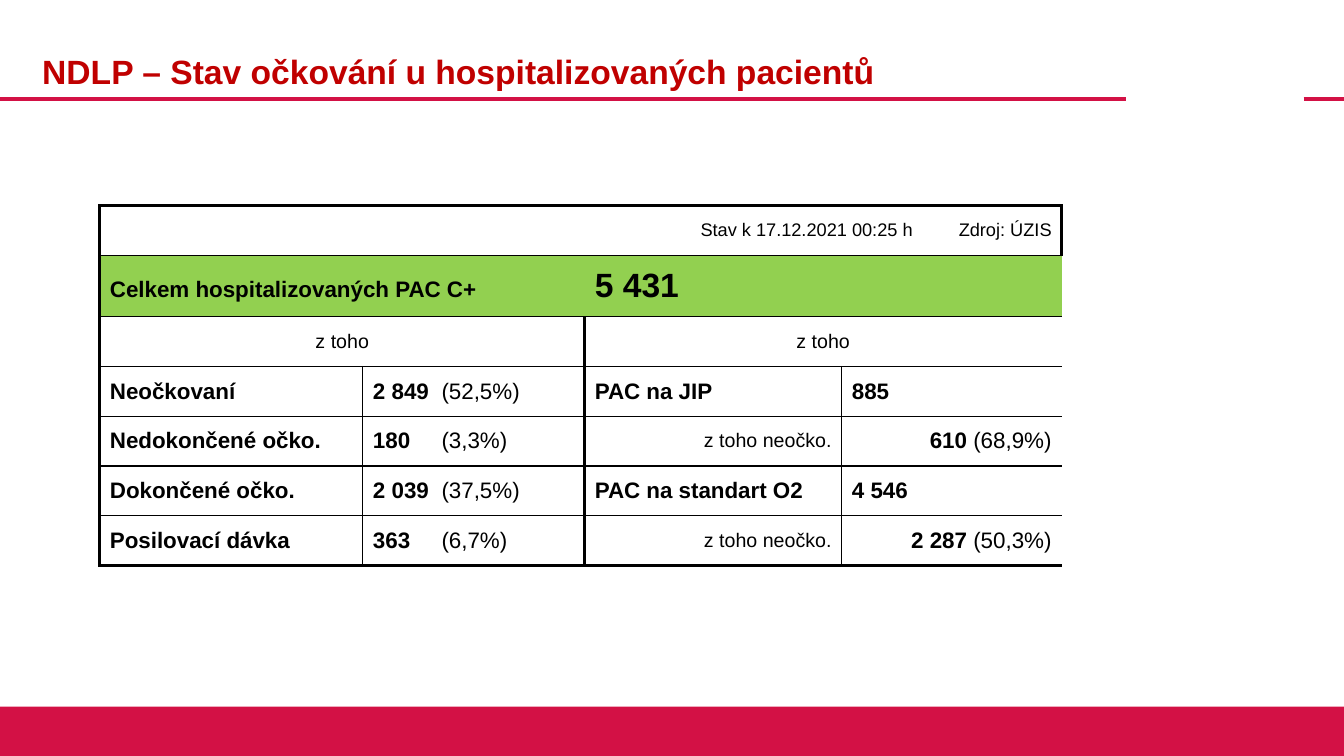
from lxml.etree import SubElement
from pptx import Presentation
from pptx.dml.color import RGBColor
from pptx.enum.shapes import MSO_CONNECTOR as CONN, MSO_SHAPE as SHAPE
from pptx.enum.text import MSO_ANCHOR as ANCHOR, PP_ALIGN as ALIGN
from pptx.oxml.ns import qn
from pptx.util import Inches, Pt

RED, TITLE_RED, GREEN = "D31145", "C00000", "92D050"
BLACK, WHITE = "000000", "FFFFFF"
FONT = "Arial"
THIN, THICK = 1, 2.25
NO_STYLE = "{2D5ABB26-0587-4C30-8999-92F81FD0307C}"
COLS = [2.37, 0.16, 2.2, 2.55, 0.8, 1.38]
TOTAL_ROW_H = 0.61
TOTAL_TAB, SHARE_TAB = 4.81, 0.68

# Rows from the fourth on: group, count, share | care type, count, share
PATIENTS = [
    ("Neočkovaní", "2 849", "(52,5%)", "PAC na JIP", "885", None),
    ("Nedokončené očko.", "180", "(3,3%)", "z toho neočko.", "610", "(68,9%)"),
    ("Dokončené očko.", "2 039", "(37,5%)", "PAC na standart O2", "4 546", None),
    ("Posilovací dávka", "363", "(6,7%)", "z toho neočko.", "2 287", "(50,3%)"),
]


def rgb(hex_color):
    return RGBColor.from_string(hex_color)


def add_rule(slide, x1, x2, y):
    line = slide.shapes.add_connector(CONN.STRAIGHT, Inches(x1), Inches(y), Inches(x2), Inches(y))
    line.line.color.rgb = rgb(RED)
    line.line.width = Pt(3)
    SubElement(line._element.spPr, qn("a:effectLst"))


def add_frame(slide, width, height):
    """Draw the header rules and the footer band."""
    add_rule(slide, 0, 11.17, 0.98)
    add_rule(slide, 12.93, width, 0.98)
    band_h = 0.49
    band = slide.shapes.add_shape(SHAPE.RECTANGLE, 0, Inches(height - band_h),
                                  Inches(width), Inches(band_h))
    band.shadow.inherit = False
    band.fill.solid()
    band.fill.fore_color.rgb = rgb(RED)
    band.line.fill.background()


def add_title(slide, text, x, y, w, h):
    tf = slide.shapes.add_textbox(Inches(x), Inches(y), Inches(w), Inches(h)).text_frame
    tf.word_wrap = True
    tf.vertical_anchor = ANCHOR.MIDDLE
    p = tf.paragraphs[0]
    p.text = text
    p.line_spacing = 0.9
    p.font.name, p.font.size, p.font.bold = FONT, Pt(24), True
    p.font.color.rgb = rgb(TITLE_RED)


def set_borders(cell, widths):
    """Set cell borders from a dict of side (L, R, T, B) to points."""
    tc_pr = cell._tc.get_or_add_tcPr()
    for side, width in widths.items():
        ln = SubElement(tc_pr, qn(f"a:ln{side}"), w=str(Pt(width)))
        SubElement(SubElement(ln, qn("a:solidFill")), qn("a:srgbClr"), val=BLACK)


def write_cell(cell, runs, align, tab):
    """Write runs of (text, size, bold), with an optional tab stop in inches."""
    cell.vertical_anchor = ANCHOR.MIDDLE
    p = cell.text_frame.paragraphs[0]
    p.alignment = align
    if tab:
        tabs = SubElement(p._p.get_or_add_pPr(), qn("a:tabLst"))
        SubElement(tabs, qn("a:tab"), pos=str(Inches(tab)), algn="l")
    for text, size, bold in runs:
        r = p.add_run()
        r.text = text
        r.font.name, r.font.size, r.font.bold = FONT, Pt(size), bold
        r.font.color.rgb = rgb(BLACK)


def fill_span(table, row, first, last, runs=(), align=ALIGN.LEFT, tab=None, fill=WHITE):
    """Merge columns first to last of a row, then style and write the cell."""
    last_row, last_col = len(table.rows) - 1, len(table.columns) - 1
    for col in range(first, last + 1):
        widths = {}
        if col == first and (row > 0 or col == 0):
            widths["L"] = THICK if col in (0, 3) else THIN
        if col == last and (row > 0 or col == last_col):
            widths["R"] = THICK if col in (2, last_col) else THIN
        widths["T"] = THICK if row == 0 else THIN
        widths["B"] = THICK if row == last_row else THIN
        cell = table.cell(row, col)
        set_borders(cell, widths)
        cell.fill.solid()
        cell.fill.fore_color.rgb = rgb(fill)
    cell = table.cell(row, first)
    if last > first:
        cell.merge(table.cell(row, last))
    write_cell(cell, runs, align, tab)


def add_patient_table(slide, x, y, w, h):
    n_rows = len(PATIENTS) + 3
    frame = slide.shapes.add_table(n_rows, len(COLS), Inches(x), Inches(y), Inches(w), Inches(h))
    table = frame.table
    table._tbl.tblPr.find(qn("a:tableStyleId")).text = NO_STYLE
    table.first_row = table.horz_banding = False
    for column, width in zip(table.columns, COLS):
        column.width = Inches(width)
    for i, row in enumerate(table.rows):
        row.height = Inches(TOTAL_ROW_H if i == 1 else (h - TOTAL_ROW_H) / (n_rows - 1))

    fill_span(table, 0, 0, 0)
    fill_span(table, 0, 1, 2)
    fill_span(table, 0, 3, 4, [("Stav k 17.12.2021 00:25 h", 13, False)], ALIGN.RIGHT)
    fill_span(table, 0, 5, 5, [("Zdroj: ÚZIS", 13, False)], ALIGN.RIGHT)
    total = [("Celkem hospitalizovaných PAC C+\t", 16, True), ("5 431", 24, True)]
    fill_span(table, 1, 0, 5, total, tab=TOTAL_TAB, fill=GREEN)
    for first in (0, 3):
        fill_span(table, 2, first, first + 2, [("z toho", 14, False)], ALIGN.CENTER)

    for row, (group, count, share, care, care_count, care_share) in enumerate(PATIENTS, 3):
        fill_span(table, row, 0, 1, [(group, 16, True)])
        fill_span(table, row, 2, 2, [(f"{count}\t", 16, True), (share, 16, False)], tab=SHARE_TAB)
        if care_share:
            fill_span(table, row, 3, 3, [(care, 14, False)], ALIGN.RIGHT)
            fill_span(table, row, 4, 5, [(f"{care_count} ", 16, True), (care_share, 16, False)],
                      ALIGN.RIGHT)
        else:
            fill_span(table, row, 3, 3, [(care, 16, True)])
            fill_span(table, row, 4, 5, [(care_count, 16, True)])


def main():
    width, height = 13.33, 7.5
    prs = Presentation()
    prs.slide_width, prs.slide_height = Inches(width), Inches(height)
    slide = prs.slides.add_slide(prs.slide_layouts[6])
    add_frame(slide, width, height)
    add_title(slide, "NDLP – Stav očkování u hospitalizovaných pacientů", 0.32, 0.24, 10.81, 0.98)
    add_patient_table(slide, 0.99, 2.04, sum(COLS), 3.57)
    prs.save("out.pptx")


if __name__ == "__main__":
    main()
